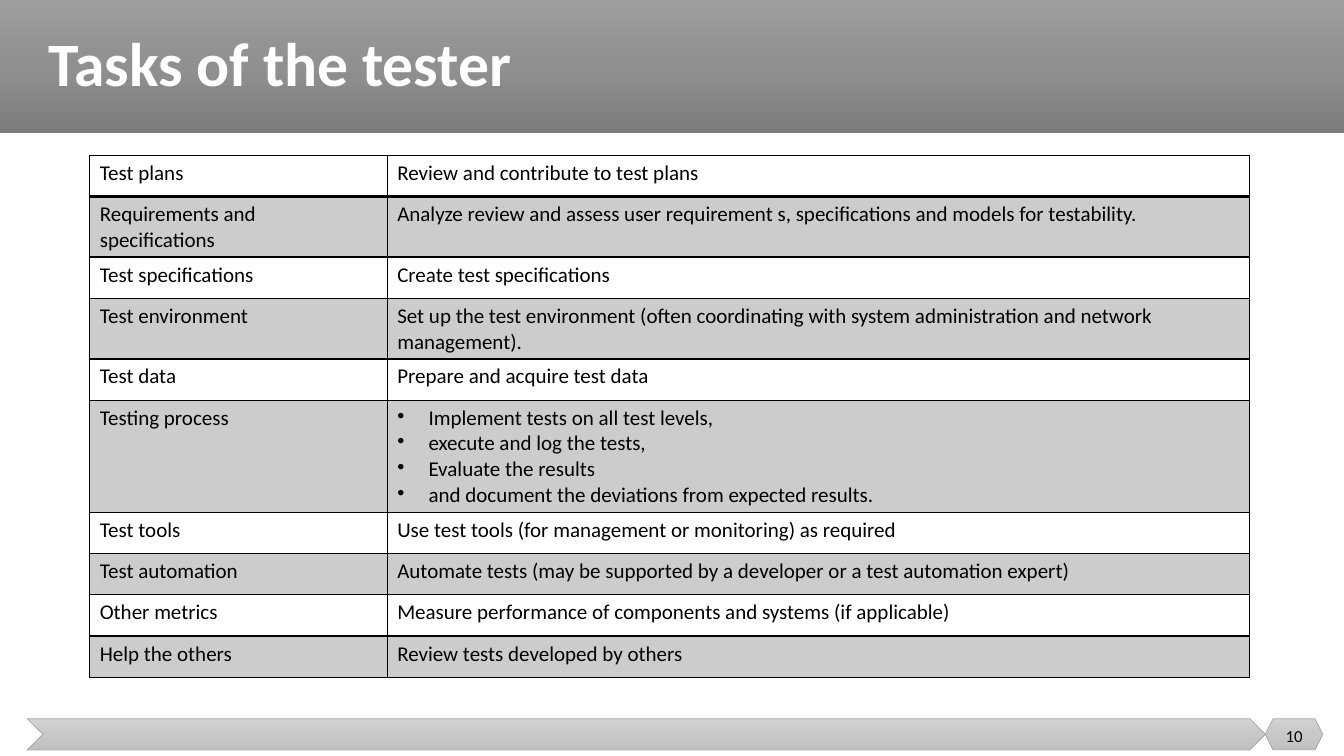
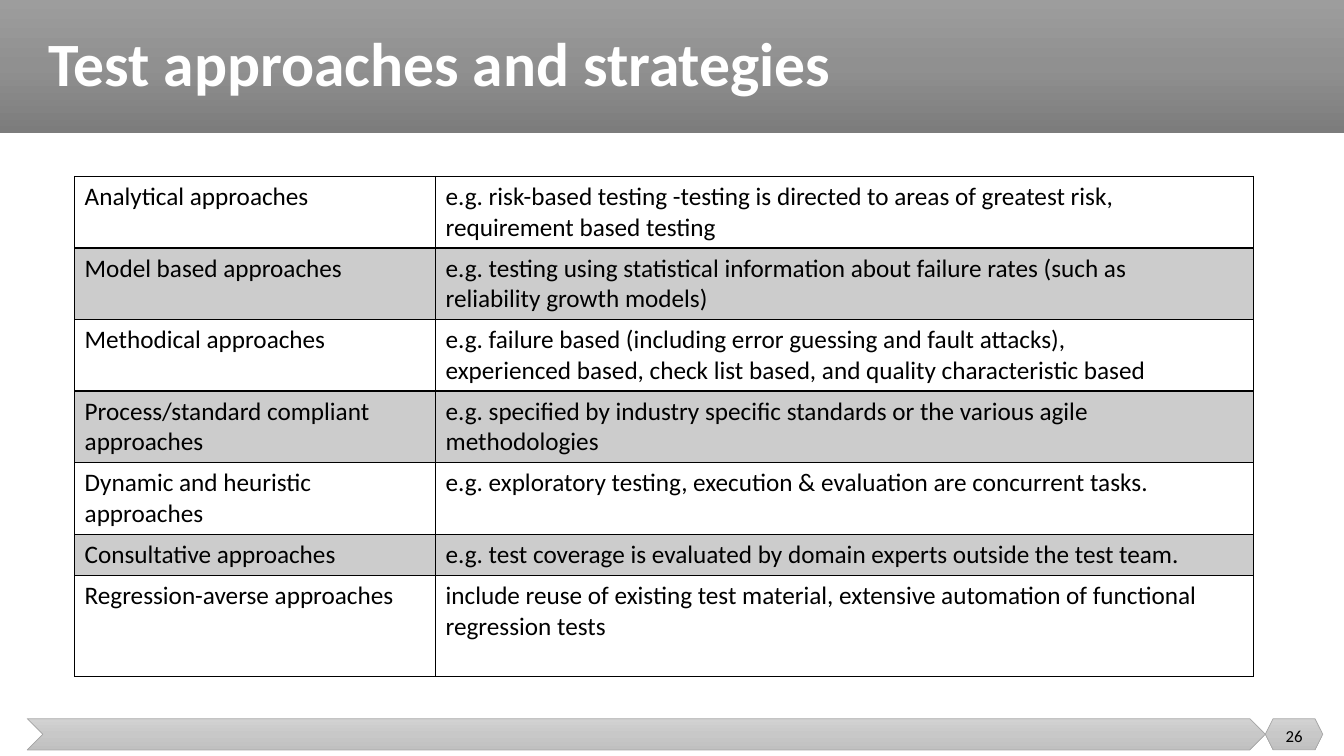
from dataclasses import dataclass

from lxml import etree
from pptx import Presentation
from pptx.dml.color import RGBColor
from pptx.enum.shapes import MSO_SHAPE
from pptx.enum.text import MSO_ANCHOR, MSO_AUTO_SIZE, PP_ALIGN
from pptx.oxml import parse_xml
from pptx.oxml.ns import nsdecls, qn
from pptx.util import Inches, Pt

RECT, CHEVRON, HEXAGON = MSO_SHAPE.RECTANGLE, MSO_SHAPE.CHEVRON, MSO_SHAPE.HEXAGON
LEFT, CENTER = PP_ALIGN.LEFT, PP_ALIGN.CENTER
TOP, MIDDLE = MSO_ANCHOR.TOP, MSO_ANCHOR.MIDDLE
NO_FIT = MSO_AUTO_SIZE.NONE


@dataclass(frozen=True)
class Theme:
    font: str = "Calibri"
    ink: str = "000000"
    light: str = "FFFFFF"
    shade: str = "CCCCCC"
    edge: str = "A5A5A5"
    band: tuple = ("9D9D9D", "909090", "7C7C7C")
    foot: tuple = ("D2D2D2", "C8C8C8", "C0C0C0")
    title: int = 44
    number: int = 12
    thin: float = 1
    thick: float = 2


THEME = Theme()
WIDTH, HEIGHT = 13.33, 7.5
BAND_HIGH = 1.32
BADGE_LEFT, BADGE_WIDE = 12.55, 0.57

# Row content: label, text (a tuple makes a bulleted list), row height
TASKS = [
    ("Test plans", "Review and contribute to test plans", 0.41),
    ("Requirements and\nspecifications",
     "Analyze review and assess user requirement s, specifications and models for testability.", 0.6),
    ("Test specifications", "Create test specifications", 0.41),
    ("Test environment",
     "Set up the test environment (often coordinating with system administration "
     "and network management).", 0.6),
    ("Test data", "Prepare and acquire test data", 0.41),
    ("Testing process",
     ("Implement tests on all test levels,", "execute and log the tests,",
      "Evaluate the results", "and document the deviations from expected results."), 1.11),
    ("Test tools", "Use test tools (for management or monitoring) as required", 0.41),
    ("Test automation",
     "Automate tests (may be supported by a developer or a test automation expert)", 0.41),
    ("Other metrics", "Measure performance of components and systems (if applicable)", 0.41),
    ("Help the others", "Review tests developed by others", 0.41),
]
METHODS = [
    ("Analytical approaches",
     "e.g. risk-based testing -testing is directed to areas of greatest risk, "
     "requirement based testing", 0.71),
    ("Model based approaches",
     "e.g. testing using statistical information about failure rates (such as\n"
     "reliability growth models)", 0.71),
    ("Methodical approaches",
     "e.g. failure based (including error guessing and fault attacks),\n"
     "experienced based, check list based, and quality characteristic based", 0.71),
    ("Process/standard compliant approaches",
     "e.g. specified by industry specific standards or the various agile\nmethodologies", 0.71),
    ("Dynamic and heuristic approaches",
     "e.g. exploratory testing, execution & evaluation are concurrent tasks.", 0.71),
    ("Consultative approaches",
     "e.g. test coverage is evaluated by domain experts outside the test team.", 0.41),
    ("Regression-averse approaches",
     "include reuse of existing test material, extensive automation of functional\n"
     "regression tests", 1),
]


def box(left, top, wide, high):
    return [Inches(side) for side in (left, top, wide, high)]


def write(frame, text, size, color=THEME.ink, bold=False, align=LEFT, anchor=TOP, space=None):
    """Fill a text frame; each line is a paragraph, a tuple is a bulleted list."""
    listed = isinstance(text, tuple)
    frame.word_wrap = True
    frame.vertical_anchor = anchor
    for index, line in enumerate(text if listed else text.split("\n")):
        para = frame.add_paragraph() if index else frame.paragraphs[0]
        if listed:
            props = para._p.get_or_add_pPr()
            props.set("marL", str(Inches(0.31)))
            props.set("indent", str(-Inches(0.31)))
            etree.SubElement(props, qn("a:buChar")).set("char", "•")
        para.alignment = align
        if space:
            para.line_spacing = space
        run = para.add_run()
        run.text = line
        run.font.name, run.font.size, run.font.bold = THEME.font, Pt(size), bold
        run.font.color.rgb = RGBColor.from_string(color)


def add_part(slide, kind, place, colors, edge=None):
    """Add a shape with an even, top-down gradient."""
    part = slide.shapes.add_shape(kind, *box(*place))
    part.shadow.inherit = False
    part.fill.background()
    step = 100000 // (len(colors) - 1)
    stops = "".join(f'<a:gs pos="{index * step}"><a:srgbClr val="{color}"/></a:gs>'
                    for index, color in enumerate(colors))
    blend = parse_xml(f'<a:gradFill {nsdecls("a")} rotWithShape="1"><a:gsLst>{stops}</a:gsLst>'
                      '<a:lin ang="5400000" scaled="0"/></a:gradFill>')
    props = part.element.spPr
    props.replace(props.find(qn("a:noFill")), blend)
    if edge:
        part.line.color.rgb = RGBColor.from_string(edge)
        part.line.width = Pt(0.5)
    else:
        part.line.fill.background()
    return part


def add_frame(slide):
    """Draw the title band and footer, then move them to the slide's layout."""
    parts = [
        add_part(slide, RECT, (0, 0, WIDTH, BAND_HIGH), THEME.band),
        add_part(slide, CHEVRON, (0.27, 7.13, 12.28, 0.31), THEME.foot, THEME.edge),
        add_part(slide, HEXAGON, (BADGE_LEFT, 7.13, BADGE_WIDE, 0.31), THEME.foot, THEME.edge),
    ]
    tree = slide.slide_layout.shapes.element
    for index, part in enumerate(parts):
        part.element.nvSpPr.cNvPr.set("id", str(20 + index))
        tree.insert(2 + index, part.element)


def add_page(deck, title, number):
    slide = deck.slides.add_slide(deck.slide_layouts[5])
    head = slide.shapes.title
    head.left, head.top, head.width, head.height = box(0.38, 0, 12.74, BAND_HIGH)
    head.text_frame.auto_size = NO_FIT
    write(head.text_frame, title, THEME.title, color=THEME.light, bold=True,
          anchor=MIDDLE, space=0.9)
    badge = slide.shapes.add_textbox(*box(BADGE_LEFT, 7.1, BADGE_WIDE, 0.4))
    write(badge.text_frame, str(number), THEME.number, align=CENTER, anchor=MIDDLE)
    return slide


def add_rules(cell, row):
    """Border a cell; the rule below the first row is thicker."""
    heavy = {(0, "B"), (1, "T")}
    props = cell._tc.get_or_add_tcPr()
    for side in "LRTB":
        width = THEME.thick if (row, side) in heavy else THEME.thin
        props.append(parse_xml(
            f'<a:ln{side} {nsdecls("a")} w="{Pt(width)}"><a:solidFill>'
            f'<a:srgbClr val="{THEME.ink}"/></a:solidFill></a:ln{side}>'))


def add_grid(slide, left, top, widths, rows, size):
    high = sum(row[-1] for row in rows)
    place = box(left, top, sum(widths), high)
    table = slide.shapes.add_table(len(rows), len(widths), *place).table
    table.first_row = table.horz_banding = False
    for column, wide in zip(table.columns, widths):
        column.width = Inches(wide)
    for index, (*texts, tall) in enumerate(rows):
        table.rows[index].height = Inches(tall)
        for cell, text in zip(table.rows[index].cells, texts):
            write(cell.text_frame, text, size)
            add_rules(cell, index)
            if index % 2:
                cell.fill.solid()
                cell.fill.fore_color.rgb = RGBColor.from_string(THEME.shade)
            else:
                cell.fill.background()


def main():
    deck = Presentation()
    deck.slide_width, deck.slide_height = Inches(WIDTH), Inches(HEIGHT)

    # Tester's tasks
    slide = add_page(deck, "Tasks of the tester", 10)
    add_frame(slide)
    add_grid(slide, 0.89, 1.54, (2.95, 8.55), TASKS, 15)

    # Approaches
    slide = add_page(deck, "Test approaches and strategies", 26)
    add_grid(slide, 0.74, 1.75, (3.58, 8.11), METHODS, 18)

    deck.save("out.pptx")


if __name__ == "__main__":
    main()
